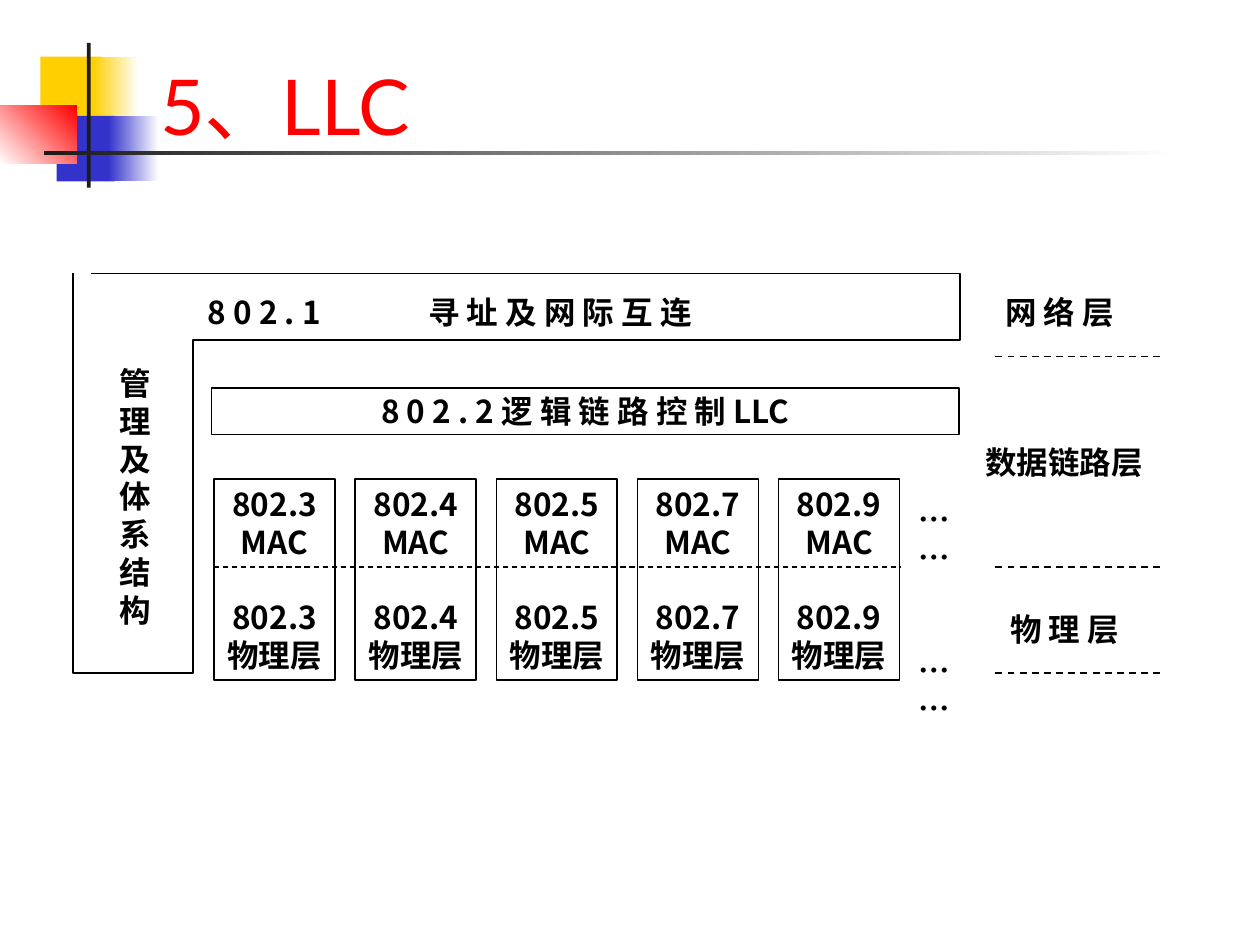
"""Build a slide on the LLC sublayer within the IEEE 802 reference model."""
from lxml.etree import SubElement
from pptx import Presentation
from pptx.dml.color import RGBColor
from pptx.enum.dml import MSO_LINE
from pptx.enum.shapes import MSO_CONNECTOR, MSO_SHAPE
from pptx.enum.text import MSO_ANCHOR, PP_ALIGN
from pptx.oxml.ns import qn
from pptx.util import Inches, Pt

COLORS = {
    name: RGBColor.from_string(value)
    for name, value in {
        "yellow": "FFCF01", "blue": "3333CC", "red": "FF0000",
        "dark": "1C1C1C", "white": "FFFFFF", "black": "000000",
    }.items()
}
CJK_FONT = "Noto Sans CJK SC"
TITLE_FORMAT = {"name": "Lato", "size": Pt(44), "bold": False}
BODY_FORMAT = {"name": CJK_FONT, "size": Pt(18), "bold": True}
LINE_HEIGHT = Pt(21.6)


def write_text(shape, lines, font_format, color, align=PP_ALIGN.LEFT, anchor=MSO_ANCHOR.TOP,
               gap_before=None, gap=0, tab=None):
    """Write one paragraph per line, with an optional gap before one of them."""
    frame = shape.text_frame
    frame_format = {
        "word_wrap": True, "vertical_anchor": anchor,
        "margin_left": Inches(0.1), "margin_right": Inches(0.1),
        "margin_top": Inches(0.05), "margin_bottom": Inches(0.05),
    }
    for name, value in frame_format.items():
        setattr(frame, name, value)
    for index, line in enumerate(lines):
        paragraph = frame.paragraphs[0] if index == 0 else frame.add_paragraph()
        if tab:
            tab_list = SubElement(paragraph._p.get_or_add_pPr(), qn("a:tabLst"))
            SubElement(tab_list, qn("a:tab"), pos=str(int(tab)), algn="l")
        paragraph.alignment = align
        if font_format is BODY_FORMAT:
            paragraph.line_spacing = LINE_HEIGHT
        if index == gap_before:
            paragraph.space_before = gap
        run = paragraph.add_run()
        run.text = line
        for name, value in font_format.items():
            setattr(run.font, name, value)
        run.font.color.rgb = COLORS[color]
        SubElement(run._r.get_or_add_rPr(), qn("a:ea"), typeface=CJK_FONT)


def outline(shape):
    """Give a shape a thin black outline without fill or shadow."""
    shape.shadow.inherit = False
    shape.fill.background()
    shape.line.color.rgb = COLORS["black"]
    shape.line.width = Pt(1)


presentation = Presentation()
presentation.slide_width = Inches(10)
presentation.slide_height = Inches(7.5)
slide = presentation.slides.add_slide(presentation.slide_layouts[5])
shapes = slide.shapes

decorations = [
    (0.32, 0.45, 0.48, 0.52, "yellow", None, 0),
    (0.74, 0.45, 0.36, 0.52, "yellow", "white", 0),
    (0.45, 0.92, 0.46, 0.52, "blue", None, 0),
    (0.86, 0.92, 0.4, 0.52, "blue", "white", 0),
    (0, 0.84, 0.61, 0.46, "white", "red", 45),
    (0.69, 0.34, 0.03, 1.15, "dark", None, 0),
    (0.35, 1.2, 9, 0.03, "dark", "white", 0),
]
for *box, start, end, angle in decorations:
    decoration = shapes.add_shape(MSO_SHAPE.RECTANGLE, *map(Inches, box))
    decoration.shadow.inherit = False
    decoration.line.fill.background()
    if end is None:
        decoration.fill.solid()
        decoration.fill.fore_color.rgb = COLORS[start]
    else:
        decoration.fill.gradient()
        decoration.fill.gradient_angle = angle
        for stop, color in zip(decoration.fill.gradient_stops, (start, end)):
            stop.color.rgb = COLORS[color]

title = shapes.title
title_box = {"left": 1.17, "top": 0.25, "width": 8.52, "height": 1}
for name, value in title_box.items():
    setattr(title, name, Inches(value))
write_text(title, ["5、LLC"], TITLE_FORMAT, "red", anchor=MSO_ANCHOR.BOTTOM)

frame_points = [(0.72, 2.17), (7.62, 2.17), (7.62, 2.7), (1.53, 2.7),
                (1.53, 5.34), (0.58, 5.34), (0.58, 2.17)]
corners = [(Inches(x), Inches(y)) for x, y in frame_points]
builder = shapes.build_freeform(*corners[0])
builder.add_line_segments(corners[1:], close=False)
outline(builder.convert_to_shape())

llc_box = shapes.add_shape(MSO_SHAPE.RECTANGLE, Inches(1.68), Inches(3.08), Inches(5.93), Inches(0.37))
outline(llc_box)
write_text(llc_box, ["8 0 2 . 2 逻 辑 链 路 控 制 LLC"], BODY_FORMAT, "black",
           PP_ALIGN.CENTER, MSO_ANCHOR.MIDDLE)

for index, standard in enumerate(["802.3", "802.4", "802.5", "802.7", "802.9"]):
    standard_box = shapes.add_shape(
        MSO_SHAPE.RECTANGLE, Inches(1.7 + 1.12 * index), Inches(3.8), Inches(0.96), Inches(1.6))
    outline(standard_box)
    write_text(standard_box, [standard, "MAC", standard, "物理层"], BODY_FORMAT, "black",
               PP_ALIGN.CENTER, gap_before=2, gap=LINE_HEIGHT)

labels = [
    (7.88, 2.28, 1.3, 0.4, ["网 络 层"], {}),
    (7.72, 3.47, 1.5, 0.4, ["数据链路层"], {}),
    (7.92, 4.79, 1.3, 0.4, ["物 理 层"], {}),
    (1.55, 2.28, 4.5, 0.4, ["8 0 2 . 1\t寻 址 及 网 际 互 连"], {"tab": Inches(1.75)}),
    (0.85, 2.84, 0.83, 2.2, list("管理及体系结构"), {}),
    (7.19, 3.92, 0.63, 1.9, ["……", "……"], {"gap_before": 1, "gap": 2 * LINE_HEIGHT}),
]
for *box, lines, options in labels:
    label = shapes.add_textbox(*map(Inches, box))
    write_text(label, lines, BODY_FORMAT, "black", **options)

dividers = [(7.9, 9.23, 2.83, 1), (7.9, 9.23, 4.5, 1), (7.9, 9.23, 5.34, 1), (1.7, 7.15, 4.5, 0.75)]
for left, right, y, width in dividers:
    divider = shapes.add_connector(
        MSO_CONNECTOR.STRAIGHT, Inches(left), Inches(y), Inches(right), Inches(y))
    divider.line.color.rgb = COLORS["black"]
    divider.line.width = Pt(width)
    divider.line.dash_style = MSO_LINE.DASH
    SubElement(divider._element.spPr, qn("a:effectLst"))

presentation.save("out.pptx")
